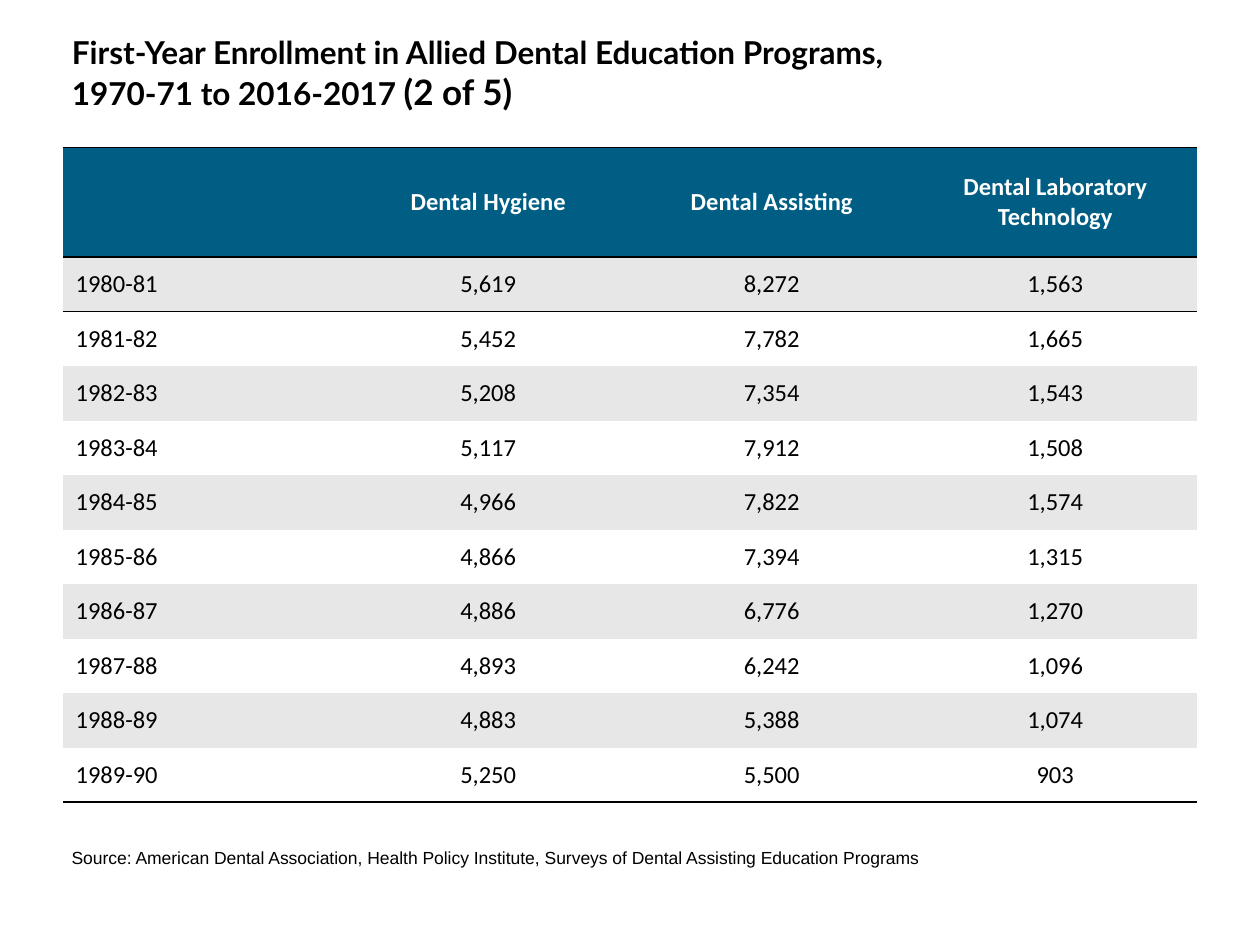
from dataclasses import dataclass

from lxml.etree import SubElement
from pptx import Presentation
from pptx.dml.color import RGBColor
from pptx.enum.text import MSO_ANCHOR as Anchor, PP_ALIGN as Align
from pptx.oxml.ns import qn
from pptx.util import Inches, Pt

BLACK, WHITE, BLUE, GRAY = "000000", "FFFFFF", "005D83", "E7E7E7"
NO_STYLE = "{2D5ABB26-0587-4C30-8999-92F81FD0307C}"
HEADER_H, ROW_H, COL_W = 0.87, 0.433, 2.25


@dataclass
class Enrollment:
    year: str
    hygiene: str
    assisting: str
    laboratory: str

    def values(self) -> list[str]:
        return [self.year, self.hygiene, self.assisting, self.laboratory]


HEADER = Enrollment("", "Dental Hygiene", "Dental Assisting",
                    "Dental Laboratory Technology")
ENROLLMENTS = [
    Enrollment("1980-81", "5,619", "8,272", "1,563"),
    Enrollment("1981-82", "5,452", "7,782", "1,665"),
    Enrollment("1982-83", "5,208", "7,354", "1,543"),
    Enrollment("1983-84", "5,117", "7,912", "1,508"),
    Enrollment("1984-85", "4,966", "7,822", "1,574"),
    Enrollment("1985-86", "4,866", "7,394", "1,315"),
    Enrollment("1986-87", "4,886", "6,776", "1,270"),
    Enrollment("1987-88", "4,893", "6,242", "1,096"),
    Enrollment("1988-89", "4,883", "5,388", "1,074"),
    Enrollment("1989-90", "5,250", "5,500", "903"),
]


def rgb(color: str) -> RGBColor:
    return RGBColor.from_string(color)


def format_font(font, color: str, **values) -> None:
    for name, value in values.items():
        setattr(font, name, value)
    font.color.rgb = rgb(color)


def add_border(cell, side: str) -> None:
    ln = SubElement(cell._tc.get_or_add_tcPr(), qn(f"a:{side}"), w=str(Pt(0.96)))
    SubElement(SubElement(ln, qn("a:solidFill")), qn("a:srgbClr"), val=BLACK)


def fill_row(table, row: int, entry: Enrollment, fill: str, color: str,
             borders: list[str]) -> None:
    for col, value in enumerate(entry.values()):
        cell = table.cell(row, col)
        for side in borders:
            add_border(cell, side)
        cell.fill.solid()
        cell.fill.fore_color.rgb = rgb(fill)
        cell.vertical_anchor = Anchor.MIDDLE
        cell.text = value
        p = cell.text_frame.paragraphs[0]
        p.alignment = Align.CENTER if col else Align.LEFT
        for font in [r.font for r in p.runs] or [p.font]:
            format_font(font, color, name="Calibri", size=Pt(14), bold=row == 0)


def add_title(slide) -> None:
    sp = slide.shapes.title
    box = dict(left=0.47, top=0.22, width=8.54, height=0.71)
    for name, value in box.items():
        setattr(sp, name, Inches(value))
    tf = sp.text_frame
    tf.vertical_anchor = Anchor.MIDDLE
    p = tf.paragraphs[0]
    p.alignment = Align.LEFT
    parts = [
        ("First-Year Enrollment in Allied Dental Education Programs, "
         "\v1970-71 to 2016-2017 ", 18),
        ("(2 of 5)", 20),
    ]
    for text, size in parts:
        for i, line in enumerate(text.split("\v")):
            if i:
                p.add_line_break()
            r = p.add_run()
            r.text = line
            format_font(r.font, BLACK, name="Lato", size=Pt(size), bold=True)


def add_source(slide) -> None:
    sp = slide.shapes.add_textbox(Inches(0.47), Inches(6.67), Inches(10), Inches(0.27))
    tf = sp.text_frame
    tf.word_wrap = True
    r = tf.paragraphs[0].add_run()
    r.text = ("Source: American Dental Association, Health Policy Institute, "
              "Surveys of Dental Assisting Education Programs")
    format_font(r.font, BLACK, name="Arial", size=Pt(10))


def add_enrollment_table(slide) -> None:
    count = len(ENROLLMENTS)
    frame = slide.shapes.add_table(count + 1, 4, Inches(0.5), Inches(1.17),
                                   Inches(4 * COL_W),
                                   Inches(HEADER_H + count * ROW_H))
    table = frame.table
    table._tbl.tblPr.find(qn("a:tableStyleId")).text = NO_STYLE
    for row in table.rows:
        row.height = Inches(ROW_H)
    table.rows[0].height = Inches(HEADER_H)

    fill_row(table, 0, HEADER, BLUE, WHITE, ["lnT", "lnB"])
    rules = {1: ["lnT"], count: ["lnB"]}
    for i, entry in enumerate(ENROLLMENTS, start=1):
        fill_row(table, i, entry, GRAY if i % 2 else WHITE, BLACK, rules.get(i, []))


def main() -> None:
    prs = Presentation()
    prs.slide_width, prs.slide_height = Inches(10), Inches(7.5)
    # Title Only layout
    slide = prs.slides.add_slide(prs.slide_layouts[5])
    add_title(slide)
    add_source(slide)
    add_enrollment_table(slide)
    prs.save("out.pptx")


if __name__ == "__main__":
    main()
